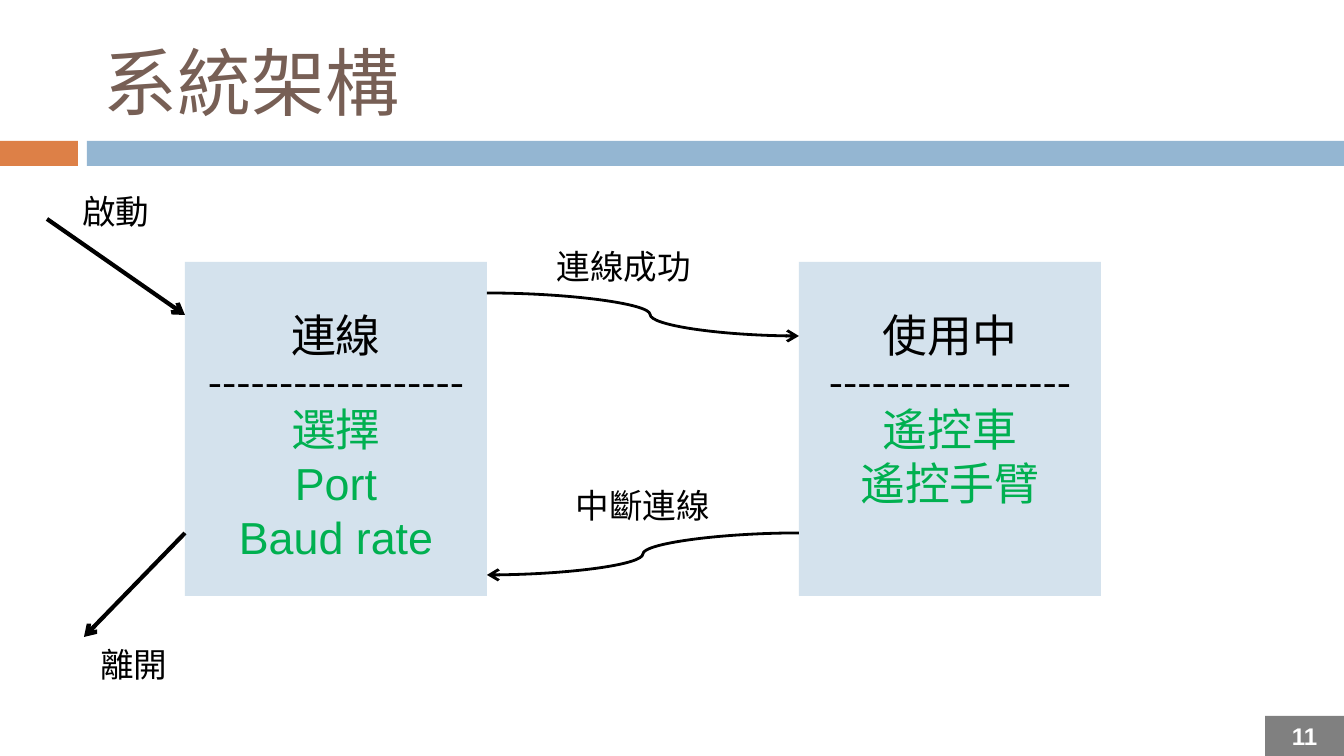
from dataclasses import dataclass

from lxml import etree
from pptx import Presentation
from pptx import util as u
from pptx.dml.color import RGBColor
from pptx.enum import shapes, text
from pptx.oxml import ns

SCALE = 914400 / 134.4  # EMU in one px
WIDTH, HEIGHT = 1344, 756


@dataclass(frozen=True)
class Theme:
    heading: str = "Cabin"
    body: str = "Arial"
    ink: str = "000000"
    title: str = "775F55"
    action: str = "00B050"
    accent: str = "DD8047"
    band: str = "94B6D2"
    state: str = "D4E2ED"
    badge: str = "808080"
    white: str = "FFFFFF"
    title_size: float = 39.6
    state_size: float = 24
    label_size: float = 18
    badge_size: float = 12.9


THEME = Theme()

TITLE = ("系統架構", (90, 26, 1199, 109))
PAGE = ("11", (1265, 716, 79, 40))
BANDS = [((0, 141, 78, 25), THEME.accent), ((87, 141, 1257, 25), THEME.band)]

STATE_TOP, STATE_WIDTH, STATE_HEIGHT = 262, 302, 334
STATES = [  # left, name, number of dashes, actions
    (185, "連線", 18, ["選擇", "Port", "Baud rate"]),
    (799, "使用中", 17, ["遙控車", "遙控手臂"]),
]
LABEL_WIDTH, LABEL_HEIGHT = 222, 54
LABELS = [
    ("連線成功", 513, 239),
    ("中斷連線", 532, 478),
    ("離開", 23, 637),
    ("啟動", 5, 184),
]
CURVES = [  # start, end, bend in thousandths of the width
    ((487, 293), (799, 336), 523),
    ((799, 533), (487, 575), 500),
]
ARROWS = [((47, 219), (185, 315)), ((185, 533), (84, 637))]


def px(*values):
    return [u.Emu(round(value * SCALE)) for value in values]


def add_run(paragraph, words, font, size, color, bold=False):
    run = paragraph.add_run()
    run.text = words
    run.font.name = font
    run.font.size = u.Pt(size)
    run.font.bold = bold
    run.font.color.rgb = RGBColor.from_string(color)
    east_asian = etree.SubElement(run.font._element, ns.qn("a:ea"))
    east_asian.set("typeface", font)


def add_box(slide, box, color):
    shape = slide.shapes.add_shape(shapes.MSO_SHAPE.RECTANGLE, *px(*box))
    shape.shadow.inherit = False
    shape.fill.solid()
    shape.fill.fore_color.rgb = RGBColor.from_string(color)
    shape.line.fill.background()
    return shape


def add_title(slide):
    words, box = TITLE
    title = slide.shapes.title
    title.left, title.top, title.width, title.height = px(*box)
    frame = title.text_frame
    frame.auto_size = text.MSO_AUTO_SIZE.NONE
    frame.vertical_anchor = text.MSO_ANCHOR.MIDDLE
    frame.paragraphs[0].alignment = text.PP_ALIGN.LEFT
    add_run(frame.paragraphs[0], words, THEME.heading, THEME.title_size, THEME.title)


def add_page_number(slide):
    words, box = PAGE
    frame = add_box(slide, box, THEME.badge).text_frame
    frame.margin_top = frame.margin_bottom = 0
    frame.vertical_anchor = text.MSO_ANCHOR.MIDDLE
    frame.paragraphs[0].alignment = text.PP_ALIGN.CENTER
    add_run(frame.paragraphs[0], words, THEME.body, THEME.badge_size, THEME.white, bold=True)


def add_state(slide, left, name, dashes, actions):
    shape = add_box(slide, (left, STATE_TOP, STATE_WIDTH, STATE_HEIGHT), THEME.state)
    frame = shape.text_frame
    frame.word_wrap = True
    frame.vertical_anchor = text.MSO_ANCHOR.TOP
    frame.margin_top, = px(46)
    lines = [
        (name, THEME.heading, THEME.state_size, THEME.ink),
        ("-" * dashes, THEME.heading, THEME.label_size, THEME.ink),
    ]
    lines += [(action, THEME.body, THEME.state_size, THEME.action) for action in actions]
    for index, line in enumerate(lines):
        paragraph = frame.add_paragraph() if index else frame.paragraphs[0]
        paragraph.alignment = text.PP_ALIGN.CENTER
        add_run(paragraph, *line)


def add_label(slide, words, left, top):
    box = slide.shapes.add_textbox(*px(left, top, LABEL_WIDTH, LABEL_HEIGHT))
    frame = box.text_frame
    frame.word_wrap = True
    frame.auto_size = text.MSO_AUTO_SIZE.SHAPE_TO_FIT_TEXT
    frame.paragraphs[0].alignment = text.PP_ALIGN.CENTER
    add_run(frame.paragraphs[0], words, THEME.heading, THEME.label_size, THEME.ink)


def add_arrow(slide, start, end, weight, bend=None):
    """Draw a straight arrow, or a curved one when a bend is given."""
    kind = shapes.MSO_CONNECTOR.CURVE if bend else shapes.MSO_CONNECTOR.STRAIGHT
    arrow = slide.shapes.add_connector(kind, *px(*start, *end))
    arrow.line.width = u.Pt(weight)
    arrow.line.color.rgb = RGBColor.from_string(THEME.ink)
    properties = arrow._element.spPr
    line = properties.find(ns.qn("a:ln"))
    etree.SubElement(line, ns.qn("a:tailEnd")).set("type", "arrow")
    etree.SubElement(properties, ns.qn("a:effectLst"))
    if bend:
        adjustments = properties.find(ns.qn("a:prstGeom")).find(ns.qn("a:avLst"))
        guide = etree.SubElement(adjustments, ns.qn("a:gd"))
        guide.set("name", "adj1")
        guide.set("fmla", f"val {bend * 100}")


def main():
    presentation = Presentation()
    presentation.slide_width, presentation.slide_height = px(WIDTH, HEIGHT)
    slide = presentation.slides.add_slide(presentation.slide_layouts.get_by_name("Title Only"))
    for box, color in BANDS:
        add_box(slide, box, color)
    add_title(slide)
    add_page_number(slide)
    for state in STATES:
        add_state(slide, *state)
    for start, end, bend in CURVES:
        add_arrow(slide, start, end, 1.5, bend)
    for start, end in ARROWS:
        add_arrow(slide, start, end, 2.25)
    for label in LABELS:
        add_label(slide, *label)
    presentation.save("out.pptx")


if __name__ == "__main__":
    main()
